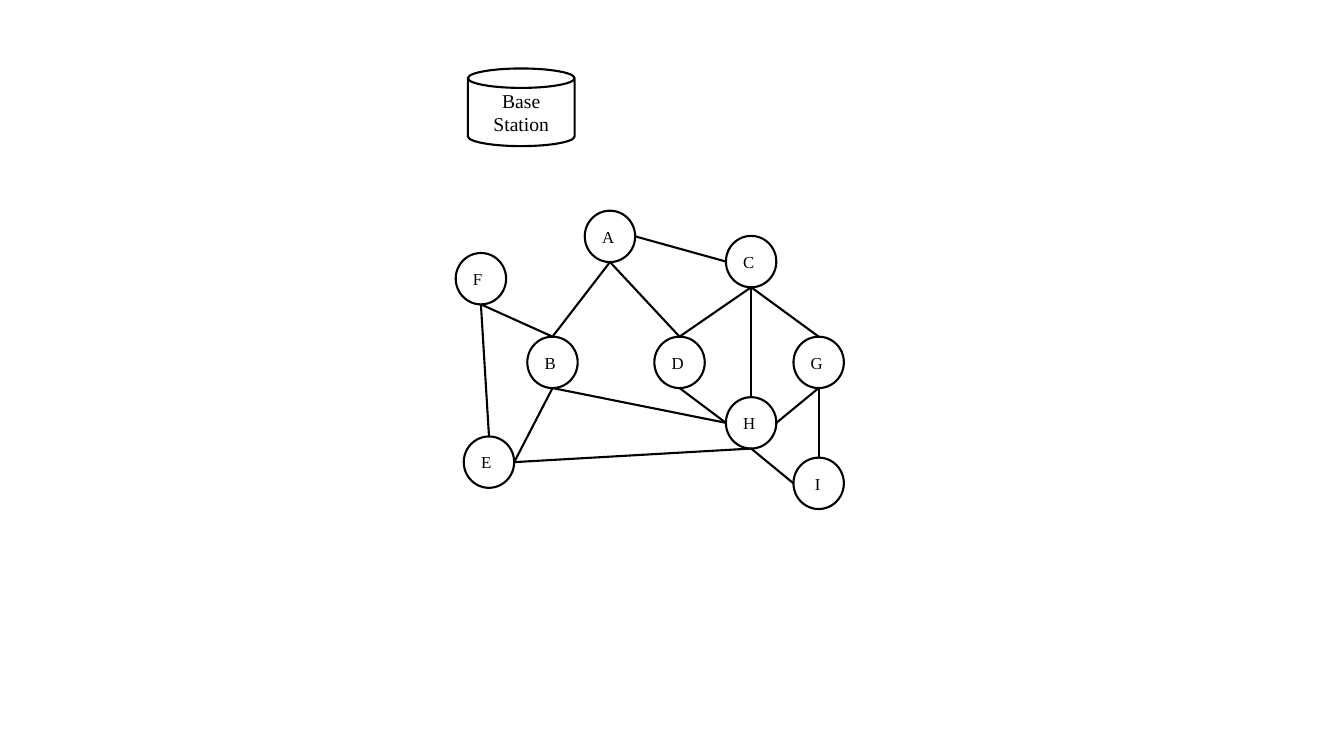
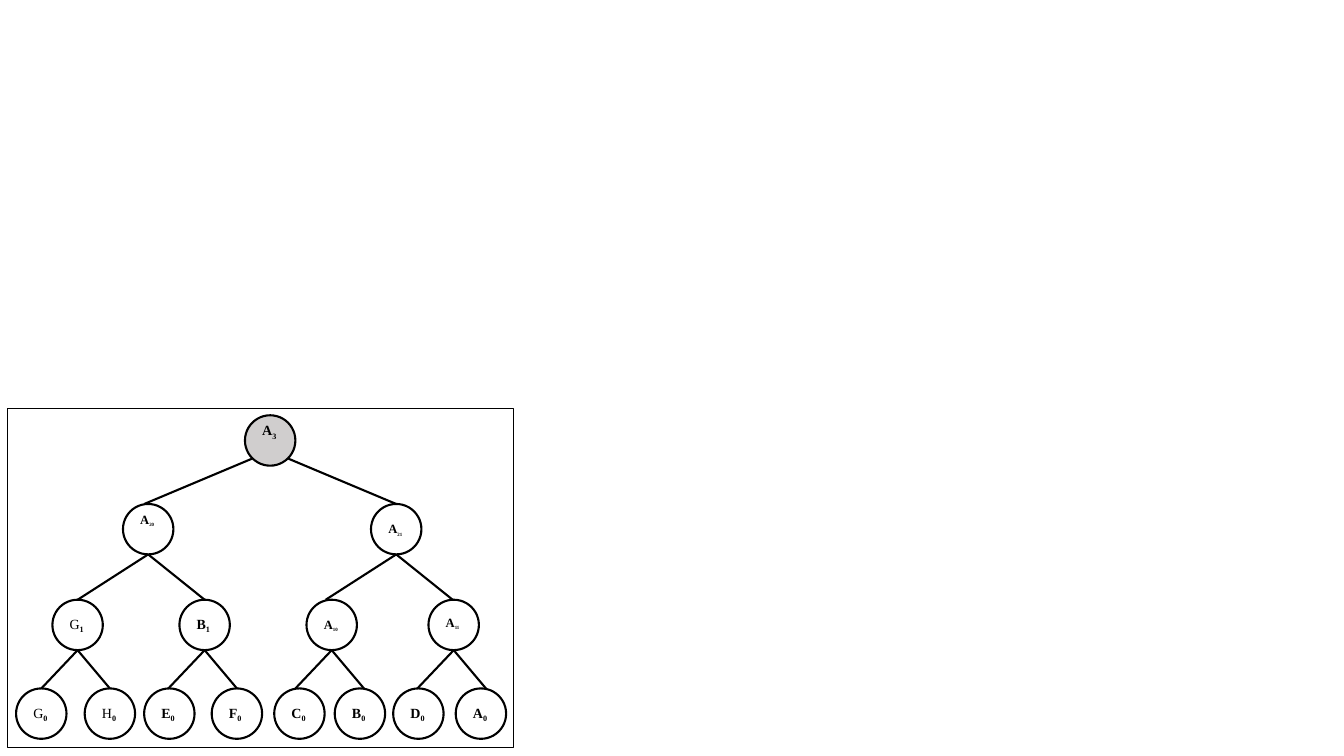
from dataclasses import dataclass

from pptx import Presentation
from pptx import util as u
from pptx.dml.color import RGBColor
from pptx.enum import shapes, text
from pptx.oxml.ns import qn
from lxml import etree

# Content: network nodes (left, top) and links (node, side, node, side)
NETWORK = {
    "A": (5.8, 2.09), "B": (5.23, 3.34), "C": (7.2, 2.34),
    "D": (6.49, 3.34), "E": (4.6, 4.33), "F": (4.52, 2.51),
    "G": (7.87, 3.34), "H": (7.2, 3.94), "I": (7.87, 4.54),
}
LINKS = [
    ("A", "right", "C", "left"), ("C", "bottom", "G", "top"),
    ("C", "bottom", "H", "top"), ("D", "bottom", "H", "left"),
    ("C", "bottom", "D", "top"), ("G", "bottom", "H", "right"),
    ("B", "bottom", "H", "left"), ("F", "bottom", "E", "top"),
    ("E", "right", "H", "bottom"), ("H", "bottom", "I", "left"),
    ("G", "bottom", "I", "top"), ("F", "bottom", "B", "top"),
    ("B", "bottom", "E", "right"), ("A", "bottom", "B", "top"),
    ("A", "bottom", "D", "top"),
]
SIDES = {"top": (0.5, 0), "bottom": (0.5, 1), "left": (0, 0.5), "right": (1, 0.5)}

# Content: tree levels, each with its top, the reach of its branches to the
# left and right, and its nodes (left, letter, subscript, format)
PLAIN = dict(bold=False)
SMALL = dict(size=9, sub_size=6)
TREE = [
    (4.12, (-1.25, 1.25), [(2.43, "A", "3", dict(fill="D0CECE", lift=0.18))]),
    (5.0, (-0.7, 0.56), [(1.22, "A", "20", dict(SMALL, lift=0.18)),
                         (3.68, "A", "21", SMALL)]),
    (5.95, (-0.36, 0.32), [(0.52, "G", "1", PLAIN), (1.78, "B", "1", {}),
                           (3.04, "A", "10", SMALL),
                           (4.25, "A", "11", dict(SMALL, lift=0.04))]),
    (6.83, (), [(0.16, "G", "0", PLAIN), (0.84, "H", "0", PLAIN),
                (1.43, "E", "0", {}), (2.1, "F", "0", {}),
                (2.72, "C", "0", {}), (3.32, "B", "0", {}),
                (3.9, "D", "0", {}), (4.52, "A", "0", {})]),
]


@dataclass(frozen=True)
class Theme:
    ink: str = "000000"
    paper: str = "FFFFFF"
    font: str = "Times New Roman"
    stroke: float = 1.5
    hairline: float = 0.25
    station: int = 14
    network: int = 12
    tree: int = 10


T = Theme()
NODE_W, NETWORK_H, TREE_H = 0.5, 0.51, 0.5


def color(value):
    return RGBColor.from_string(value)


def add_text(p, words, size, bold=False, sub=False):
    r = p.add_run()
    r.text = words
    f = r.font
    f.name, f.size, f.bold = T.font, u.Pt(size), bold
    f.color.rgb = color(T.ink)
    if sub:
        r._r.get_or_add_rPr().set("baseline", "-25000")


def add_outline(s, kind, x, y, w, h, fill=None, stroke=T.stroke):
    sp = s.shapes.add_shape(kind, *map(u.Inches, (x, y, w, h)))
    sp.shadow.inherit = False
    if fill:
        sp.fill.solid()
        sp.fill.fore_color.rgb = color(fill)
    else:
        sp.fill.background()
    sp.line.color.rgb = color(T.ink)
    sp.line.width = u.Pt(stroke)
    return sp


def text_of(sp, align=text.PP_ALIGN.LEFT):
    tf = sp.text_frame
    tf.word_wrap = True
    tf.vertical_anchor = text.MSO_ANCHOR.MIDDLE
    tf.paragraphs[0].alignment = align
    return tf


def add_line(s, start, end):
    ends = map(u.Inches, (*start, *end))
    line = s.shapes.add_connector(shapes.MSO_CONNECTOR.STRAIGHT, *ends)
    line.line.color.rgb = color(T.ink)
    line.line.width = u.Pt(T.stroke)
    etree.SubElement(line._element.spPr, qn("a:effectLst"))


def anchor(name, side):
    (x, y), (fx, fy) = NETWORK[name], SIDES[side]
    return x + fx * NODE_W, y + fy * NETWORK_H


def add_tree_node(s, x, y, letter, sub, fill=None, lift=0, bold=True,
                  size=T.tree, sub_size=T.tree):
    sp = add_outline(s, shapes.MSO_SHAPE.OVAL, x, y, NODE_W, TREE_H, fill)
    tf = text_of(sp)
    tf.margin_bottom = u.Inches(0.05 + lift)
    add_text(tf.paragraphs[0], letter, size, bold=bold)
    add_text(tf.paragraphs[0], sub, sub_size, bold=True, sub=True)


prs = Presentation()
prs.slide_width, prs.slide_height = u.Inches(13.33), u.Inches(7.5)
blank = prs.slide_layouts[6]

# Slide 1: sensor network and base station
s = prs.slides.add_slide(blank)
for name, (x, y) in NETWORK.items():
    sp = add_outline(s, shapes.MSO_SHAPE.OVAL, x, y, NODE_W, NETWORK_H, T.paper)
    tf = text_of(sp)
    if name == "I":
        tf.margin_left = u.Inches(0.14)
    add_text(tf.paragraphs[0], name, T.network)
for a, a_side, b, b_side in LINKS:
    add_line(s, anchor(a, a_side), anchor(b, b_side))
station = add_outline(s, shapes.MSO_SHAPE.CAN, 4.64, 0.68, 1.06, 0.77)
tf = text_of(station, text.PP_ALIGN.CENTER)
add_text(tf.paragraphs[0], "Base Station", T.station)

# Slide 2: framed tree
s = prs.slides.add_slide(blank)
add_outline(s, shapes.MSO_SHAPE.RECTANGLE, 0.07, 4.05, 5.02, 3.36,
            stroke=T.hairline)
for level, (top, reaches, nodes) in enumerate(TREE):
    for x, letter, sub, style in nodes:
        add_tree_node(s, x, top, letter, sub, **style)
        for reach in reaches:
            center = x + NODE_W / 2
            # The root's branches leave from its lower corners
            start = ((center + (0.18 if reach > 0 else -0.18), top + 0.43)
                     if level == 0 else (center, top + TREE_H))
            add_line(s, start, (center + reach, TREE[level + 1][0]))

prs.save("out.pptx")
